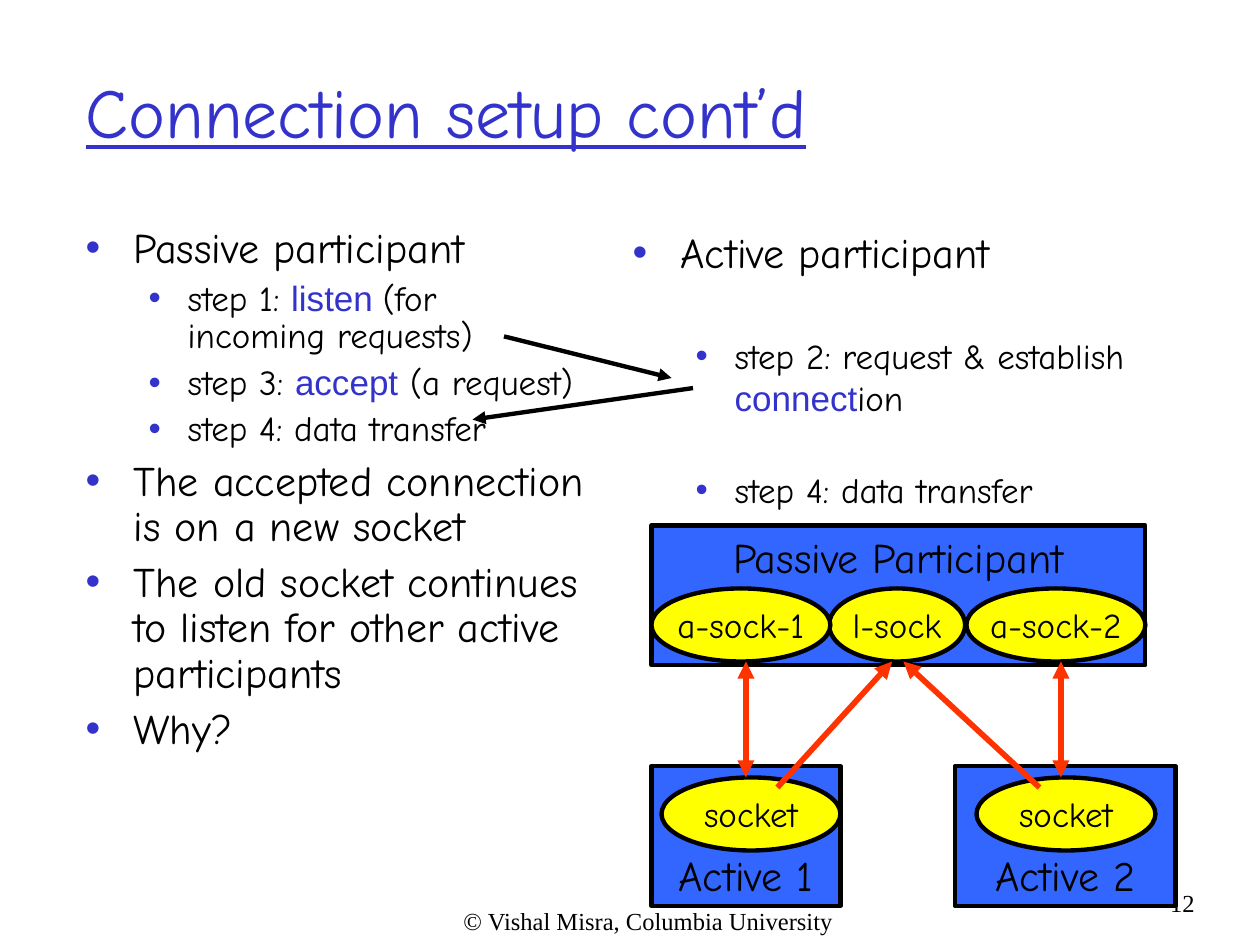
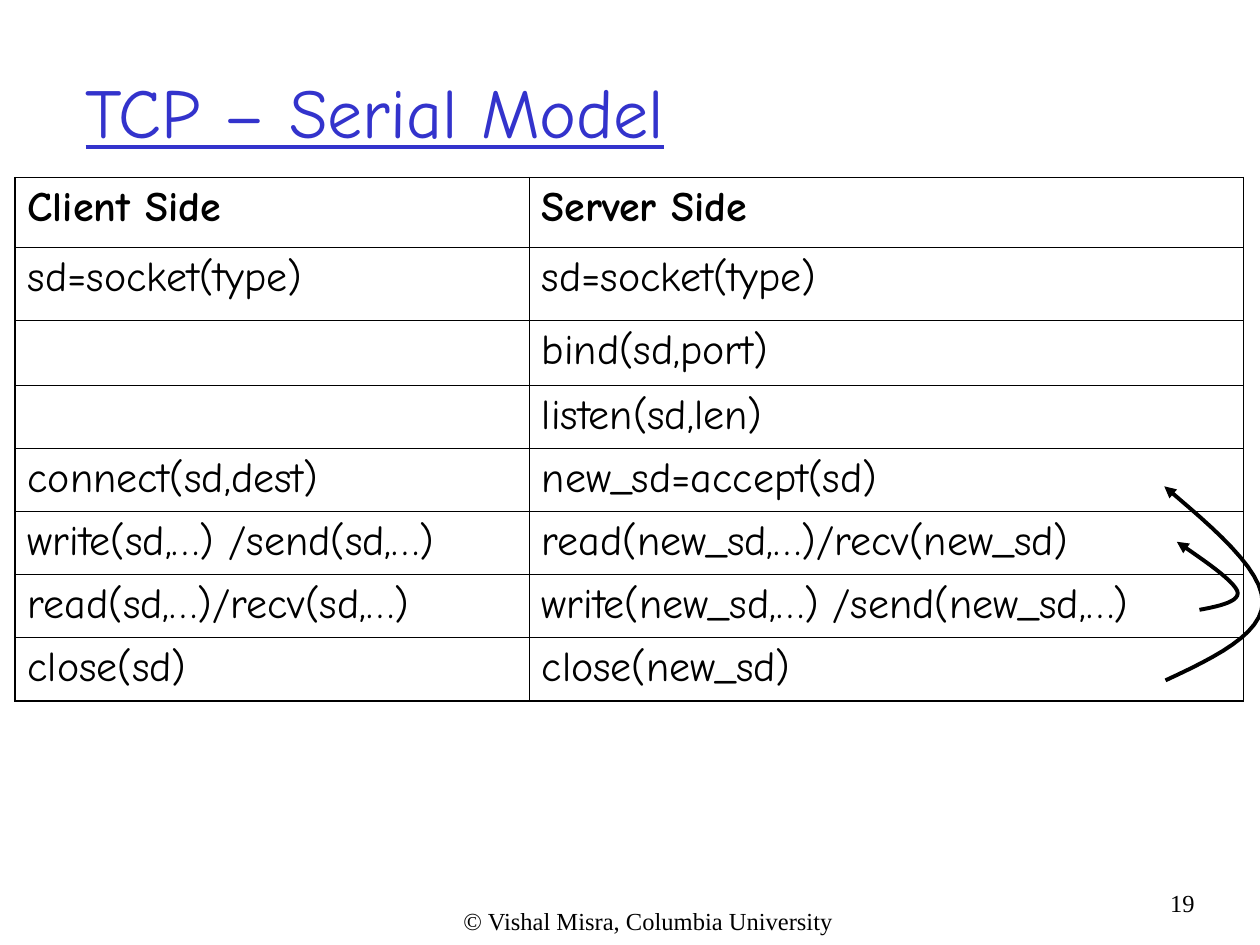
from lxml import etree
from pptx import Presentation
from pptx import util as u
from pptx.dml.color import RGBColor
from pptx.enum import shapes, text
from pptx.oxml import ns

# Shared look
BLACK, INDIGO, BLUE, YELLOW, RED = "000000", "3333CC", "3366FF", "FFFF00", "FF3300"
HAND, CODE, SERIF = "Comic Neue", "Arial", "Times New Roman"
FOOTER = "© Vishal Misra, Columbia University"
TWO_CONTENT, TITLE_ONLY = 3, 5
LEFT, CENTER, RIGHT = text.PP_ALIGN.LEFT, text.PP_ALIGN.CENTER, text.PP_ALIGN.RIGHT
TOP, MIDDLE, BOTTOM = text.MSO_ANCHOR.TOP, text.MSO_ANCHOR.MIDDLE, text.MSO_ANCHOR.BOTTOM

# Lists: (level, text, space before); words between asterisks are function names
PASSIVE_STEPS = [
    (0, "Passive participant", 6),
    (1, "step 1: *listen *(for incoming requests)", 5),
    (1, "step 3: *accept* (a request)", 5),
    (1, "step 4: data transfer", 5),
    (0, "The accepted connection is on a new socket", 6),
    (0, "The old socket continues to listen for other active participants", 6),
    (0, "Why?", 6),
]
ACTIVE_STEPS = [
    (0, "Active participant", 6),
    (1, "step 2: request & establish *connect*ion", 33),
    (1, "step 4: data transfer", 28),
]
CALLS = [
    ("Client Side", "Server Side"),
    ("sd=socket(type)", "sd=socket(type)"),
    ("", "bind(sd,port)"),
    ("", "listen(sd,len)"),
    ("connect(sd,dest)", "new_sd=accept(sd)"),
    ("write(sd,…) /send(sd,…)", "read(new_sd,…)/recv(new_sd)"),
    ("read(sd,…)/recv(sd,…)", "write(new_sd,…) /send(new_sd,…)"),
    ("close(sd)", "close(new_sd)"),
]


def rgb(color):
    return RGBColor.from_string(color)


def inches(*lengths):
    return [u.Inches(length) for length in lengths]


def sub(parent, tag, **attributes):
    return etree.SubElement(parent, ns.qn(tag), attributes)


def write(paragraph, words, size=24, font=HAND, color=BLACK, bold=False,
          underline=False, align=LEFT):
    paragraph.alignment = align
    run = paragraph.add_run()
    run.text = words
    run.font.size = u.Pt(size)
    run.font.name = font
    run.font.color.rgb = rgb(color)
    run.font.bold = bold
    run.font.underline = underline


def place(shape, box):
    shape.left, shape.top, shape.width, shape.height = inches(*box)


def add_label(slide, box, words, align=LEFT, wrap=True):
    frame = slide.shapes.add_textbox(*inches(*box)).text_frame
    frame.word_wrap = wrap
    write(frame.paragraphs[0], words, size=14, font=SERIF, align=align)


def add_page(prs, layout, title, number):
    slide = prs.slides.add_slide(prs.slide_layouts[layout])
    heading = slide.shapes.title
    place(heading, (0.58, 0.25, 8.5, 1.25))
    heading.text_frame.vertical_anchor = MIDDLE
    write(heading.text_frame.paragraphs[0], title, size=40, color=INDIGO, underline=True)
    add_label(slide, (3.58, 7.14, 3.15, 0.34), FOOTER, wrap=False)
    add_label(slide, (9.08, 7, 0.5, 0.5), number, align=RIGHT)
    return slide


def fill_list(body, box, items, line_spacing):
    place(body, box)
    frame = body.text_frame
    frame.auto_size = text.MSO_AUTO_SIZE.NONE
    for index, (level, words, before) in enumerate(items):
        paragraph = frame.add_paragraph() if index else frame.paragraphs[0]
        paragraph.level = level
        paragraph.line_spacing = line_spacing
        paragraph.space_before = u.Pt(before)
        for part, piece in enumerate(words.split("*")):
            is_code = part % 2 == 1
            write(paragraph, piece, size=20 if level else 24,
                  font=CODE if is_code else HAND, color=INDIGO if is_code else BLACK)
        margin, hang = ((0.38, 0.38), (0.81, 0.31))[level]
        props = paragraph._p.get_or_add_pPr()
        props.set("marL", str(u.Inches(margin)))
        props.set("indent", str(-u.Inches(hang)))
        sub(sub(props, "a:buClr"), "a:srgbClr", val=INDIGO)
        sub(props, "a:buChar", char="•")


def add_node(slide, kind, box, words, fill, size, anchor):
    node = slide.shapes.add_shape(kind, *inches(*box))
    node.shadow.inherit = False
    node.fill.solid()
    node.fill.fore_color.rgb = rgb(fill)
    node.line.color.rgb = rgb(BLACK)
    node.line.width = u.Pt(2.5)
    frame = node.text_frame
    frame.word_wrap = False
    frame.vertical_anchor = anchor
    write(frame.paragraphs[0], words, size=size, align=CENTER)


def add_participant(slide, box, words, anchor):
    add_node(slide, shapes.MSO_SHAPE.RECTANGLE, box, words, BLUE, 24, anchor)


def add_socket(slide, left, top, words, width=1.42):
    add_node(slide, shapes.MSO_SHAPE.OVAL, (left, top, width, 0.58), words, YELLOW, 20, MIDDLE)


def style_line(shape, color, width, both=False):
    shape.line.color.rgb = rgb(color)
    shape.line.width = u.Pt(width)
    outline = shape.line._get_or_add_ln()
    if both:
        sub(outline, "a:headEnd", type="triangle")
    sub(outline, "a:tailEnd", type="triangle")


def add_arrow(slide, start, end, color=BLACK, width=2.5, both=False):
    arrow = slide.shapes.add_connector(shapes.MSO_CONNECTOR.STRAIGHT, *inches(*start, *end))
    style_line(arrow, color, width, both)
    sub(arrow._element.spPr, "a:effectLst")


def bezier(p0, p1, p2, p3, steps=12):
    for step in range(1, steps + 1):
        t = step / steps
        s = 1 - t
        yield tuple(u.Inches(s**3 * a + 3 * s * s * t * b + 3 * s * t * t * c + t**3 * d)
                    for a, b, c, d in zip(p0, p1, p2, p3))


def add_loop_arrow(slide, points):
    """Draw two joined curves through start, two controls, middle, two controls, end."""
    builder = slide.shapes.build_freeform(*inches(*points[0]))
    for first in (0, 3):
        builder.add_line_segments(list(bezier(*points[first:first + 4])), close=False)
    loop = builder.convert_to_shape()
    loop.shadow.inherit = False
    loop.fill.background()
    style_line(loop, BLACK, 2.25)


def set_borders(cell, outer_sides):
    props = cell._tc.get_or_add_tcPr()
    for side in "LRTB":
        width = u.Pt(1.08 if side in outer_sides else 0.45)
        border = sub(props, "a:ln" + side, w=str(width))
        sub(sub(border, "a:solidFill"), "a:srgbClr", val=BLACK)


def add_call_table(slide):
    widths = (4.08, 5.67)
    heights = (0.55, 0.58, 0.52) + (0.5,) * 5
    table = slide.shapes.add_table(len(CALLS), len(widths), *inches(
        0.12, 1.41, sum(widths), sum(heights))).table
    table.first_row = table.horz_banding = False
    for column, width in zip(table.columns, widths):
        column.width = u.Inches(width)
    for r, calls in enumerate(CALLS):
        table.rows[r].height = u.Inches(heights[r])
        for c, call in enumerate(calls):
            cell = table.cell(r, c)
            outer = "LR"[c] + ("T" if r == 0 else "B" if r == len(CALLS) - 1 else "")
            set_borders(cell, outer)
            cell.fill.background()
            if call:
                write(cell.text_frame.paragraphs[0], call, bold=r == 0)


def build_connection_setup(prs):
    slide = add_page(prs, TWO_CONTENT, "Connection setup cont’d", "12")
    fill_list(slide.placeholders[1], (0.58, 1.75, 4.17, 5.33), PASSIVE_STEPS, 0.9)
    fill_list(slide.placeholders[2], (4.92, 1.75, 4.17, 2.5), ACTIVE_STEPS, 1.0)

    # Order of the steps
    add_arrow(slide, (4, 2.67), (5.33, 3))
    add_arrow(slide, (5.5, 3.08), (3.75, 3.33))

    # Participants and their sockets
    add_participant(slide, (5.17, 4.17, 3.92, 1.11), "Passive Participant", TOP)
    add_socket(slide, 6.58, 4.67, "l-sock", width=1.08)
    add_socket(slide, 5.17, 4.67, "a-sock-1")
    add_socket(slide, 7.67, 4.67, "a-sock-2")
    for name, left, width, socket_left in (("Active 1", 5.17, 1.5, 5.25),
                                           ("Active 2", 7.58, 1.75, 7.75)):
        add_participant(slide, (left, 6.08, width, 1.11), name, BOTTOM)
        add_socket(slide, socket_left, 6.17, "socket")

    # Requests to the listening socket, and accepted connections
    for request_x, listen_x, accepted_x in ((6.17, 7.08, 5.92), (8.25, 7.17, 8.42)):
        add_arrow(slide, (request_x, 6.25), (listen_x, 5.25), RED, 3.25)
        add_arrow(slide, (accepted_x, 5.25), (accepted_x, 6.17), RED, 3.25, both=True)


def build_serial_model(prs):
    slide = add_page(prs, TITLE_ONLY, "TCP – Serial Model", "19")
    add_call_table(slide)

    # Loops back to read and to accept
    add_loop_arrow(slide, [(9.52, 4.84), (9.69, 4.81), (9.85, 4.77), (9.82, 4.69),
                           (9.78, 4.6), (9.56, 4.45), (9.34, 4.3)])
    add_loop_arrow(slide, [(9.25, 5.4), (9.64, 5.22), (10.02, 5.03), (10.02, 4.78),
                           (10.02, 4.52), (9.63, 4.19), (9.24, 3.86)])


def main():
    prs = Presentation()
    prs.slide_width, prs.slide_height = inches(10, 7.5)
    build_connection_setup(prs)
    build_serial_model(prs)
    prs.save("out.pptx")


if __name__ == "__main__":
    main()
